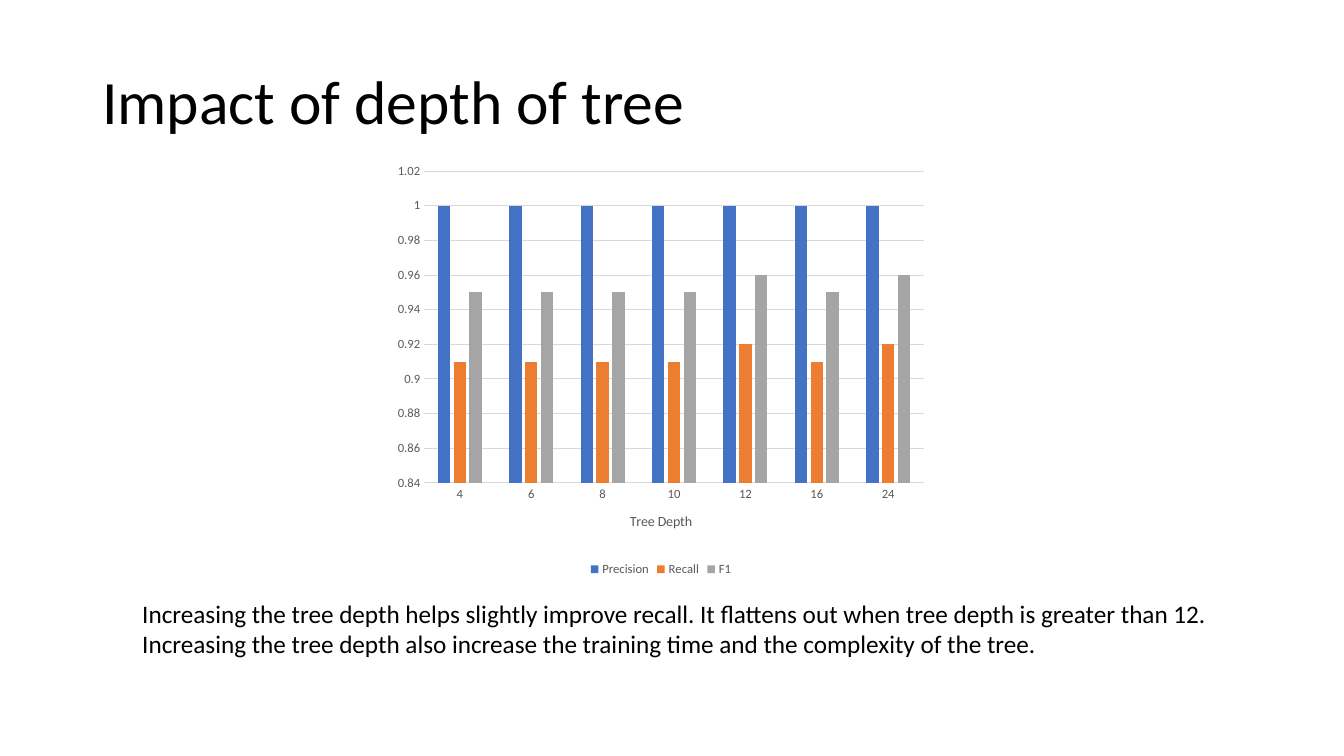
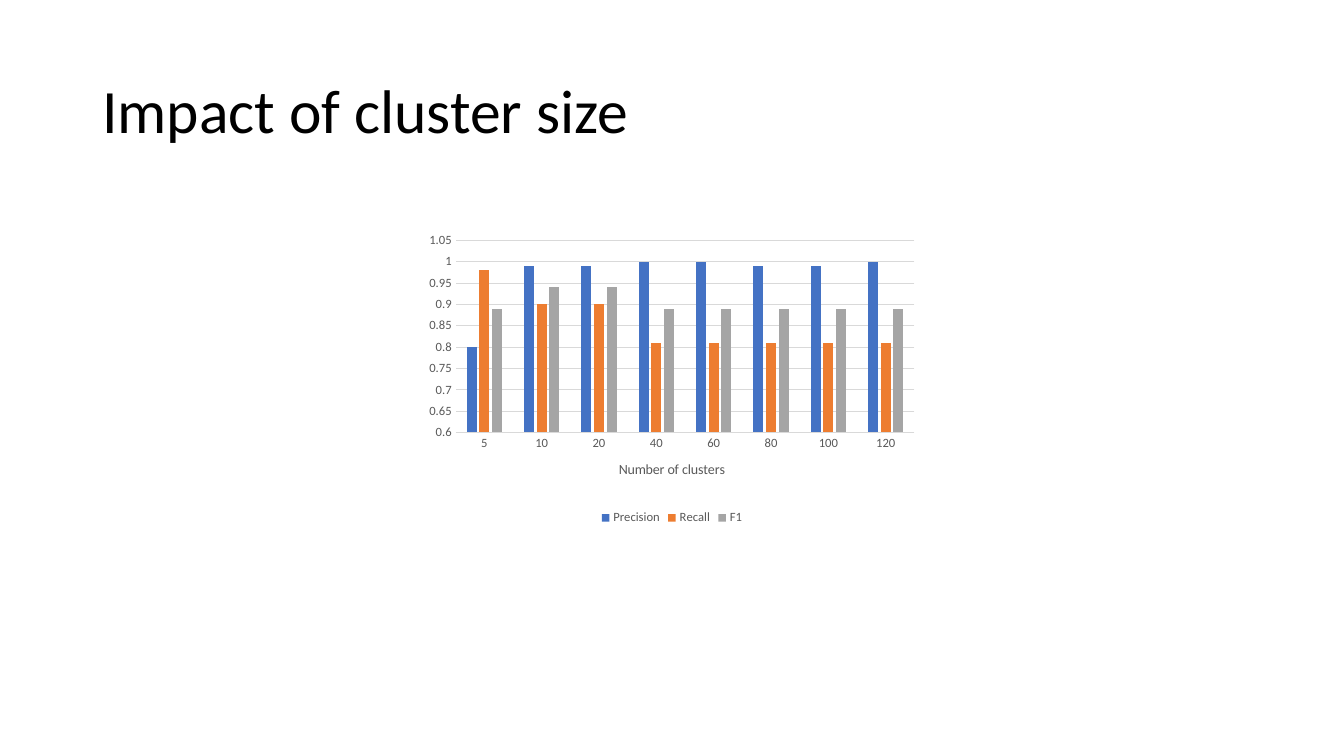
import pptx
import pptx.chart.data
import pptx.dml.color
import pptx.enum.chart
import pptx.enum.text
import pptx.oxml
import pptx.oxml.ns
import pptx.util

EMU_PER_PX = 9525
FONT = "Calibri"
BLACK = pptx.dml.color.RGBColor(0x00, 0x00, 0x00)
LABEL_GRAY = pptx.dml.color.RGBColor(0x59, 0x59, 0x59)
GRID_GRAY = pptx.dml.color.RGBColor(0xD9, 0xD9, 0xD9)
MEASURE_COLORS = {
    "Precision": pptx.dml.color.RGBColor(0x44, 0x72, 0xC4),
    "Recall": pptx.dml.color.RGBColor(0xED, 0x7D, 0x31),
    "F1": pptx.dml.color.RGBColor(0xA5, 0xA5, 0xA5),
}

DEPTHS = [4, 6, 8, 10, 12, 16, 24]
DEPTH_SCORES = {
    "Precision": [1, 1, 1, 1, 1, 1, 1],
    "Recall": [0.91, 0.91, 0.91, 0.91, 0.92, 0.91, 0.92],
    "F1": [0.95, 0.95, 0.95, 0.95, 0.96, 0.95, 0.96],
}
CLUSTERS = [5, 10, 20, 40, 60, 80, 100, 120]
CLUSTER_SCORES = {
    "Precision": [0.8, 0.99, 0.99, 1, 1, 0.99, 0.99, 1],
    "Recall": [0.98, 0.9, 0.9, 0.81, 0.81, 0.81, 0.81, 0.81],
    "F1": [0.89, 0.94, 0.94, 0.89, 0.89, 0.89, 0.89, 0.89],
}
FINDINGS = [
    "Increasing the tree depth helps slightly improve recall. "
    "It flattens out when tree depth is greater than 12.",
    "Increasing the tree depth also increase the training time "
    "and the complexity of the tree.",
]


def px(*lengths):
    """Turn px lengths into a list of EMU lengths."""
    return [pptx.util.Emu(length * EMU_PER_PX) for length in lengths]


def style_font(font, size, color):
    """Set the typeface, size and colour of a font."""
    font.name = FONT
    font.size = pptx.util.Pt(size)
    font.bold = False
    font.color.rgb = color


def add_text(slide, box, lines, size):
    """Add a text box with one paragraph per line and return its frame."""
    frame = slide.shapes.add_textbox(*px(*box)).text_frame
    frame.text = "\n".join(lines)
    for paragraph in frame.paragraphs:
        style_font(paragraph.font, size, BLACK)
    return frame


def add_title(slide, top, wording):
    """Add the slide title, centred vertically in its band."""
    frame = add_text(slide, (88, top, 1104, 139), [wording], 44)
    frame.word_wrap = True
    frame.vertical_anchor = pptx.enum.text.MSO_ANCHOR.MIDDLE
    frame.paragraphs[0].line_spacing = 0.9


def place_plot(chart, box, plot_box):
    """Fix the inner plot area, given in px from the chart corner."""
    shares = [round(length / box[2 + i % 2], 4) for i, length in enumerate(plot_box)]
    entries = "".join(
        f'<c:{tag} val="{share}"/>' for tag, share in zip("xywh", shares)
    )
    layout = pptx.oxml.parse_xml(
        f'<c:layout {pptx.oxml.ns.nsdecls("c")}><c:manualLayout>'
        '<c:layoutTarget val="inner"/><c:xMode val="edge"/><c:yMode val="edge"/>'
        f"{entries}</c:manualLayout></c:layout>"
    )
    plot_area = chart.element.find(".//" + pptx.oxml.ns.qn("c:plotArea"))
    for default in plot_area.findall(pptx.oxml.ns.qn("c:layout")):
        plot_area.remove(default)
    plot_area.insert(0, layout)


def style_axes(chart, axis_title, scale):
    """Style both axes, with the scale as minimum, maximum and step."""
    categories, values = chart.category_axis, chart.value_axis
    for axis in (categories, values):
        axis.major_tick_mark = pptx.enum.chart.XL_TICK_MARK.NONE
        axis.minor_tick_mark = pptx.enum.chart.XL_TICK_MARK.NONE
        style_font(axis.tick_labels.font, 9, LABEL_GRAY)
    values.minimum_scale, values.maximum_scale, values.major_unit = scale
    values.format.line.fill.background()
    values.has_major_gridlines = True
    for line in (categories.format.line, values.major_gridlines.format.line):
        line.color.rgb = GRID_GRAY
        line.width = pptx.util.Pt(0.75)
    title_frame = categories.axis_title.text_frame
    title_frame.text = axis_title
    style_font(title_frame.paragraphs[0].runs[0].font, 10, LABEL_GRAY)


def add_score_chart(slide, box, plot_box, axis_title, settings, scores, scale):
    """Add a clustered column chart of the scores for each setting."""
    data = pptx.chart.data.CategoryChartData()
    data.categories = [str(setting) for setting in settings]
    for measure, values in scores.items():
        data.add_series(measure, values)
    kind = pptx.enum.chart.XL_CHART_TYPE.COLUMN_CLUSTERED
    chart = slide.shapes.add_chart(kind, *px(*box), data).chart
    style_font(chart.font, 10, BLACK)
    chart.has_title = False
    chart.has_legend = True
    chart.legend.position = pptx.enum.chart.XL_LEGEND_POSITION.BOTTOM
    chart.legend.include_in_layout = False
    style_font(chart.legend.font, 9, LABEL_GRAY)
    columns = chart.plots[0]
    columns.vary_by_categories = False
    columns.gap_width = 219
    columns.overlap = -27
    for series in columns.series:
        series.format.fill.solid()
        series.format.fill.fore_color.rgb = MEASURE_COLORS[series.name]
    style_axes(chart, axis_title, scale)
    place_plot(chart, box, plot_box)


def main():
    """Build both slides and save the presentation."""
    deck = pptx.Presentation()
    deck.slide_width, deck.slide_height = px(1280, 720)
    blank = deck.slide_layouts[6]

    depth_slide = deck.slides.add_slide(blank)
    add_title(depth_slide, 30, "Impact of depth of tree")
    add_score_chart(
        depth_slide, (369, 148, 521, 405), (35, 15, 476, 297),
        "Tree Depth", DEPTHS, DEPTH_SCORES, (0.84, 1.02, 0.02),
    )
    findings = add_text(depth_slide, (126, 565, 1046, 68), FINDINGS, 18)
    findings.word_wrap = False

    cluster_slide = deck.slides.add_slide(blank)
    add_title(cluster_slide, 39, "Impact of cluster size")
    add_score_chart(
        cluster_slide, (400, 216, 480, 288), (34, 13, 437, 183),
        "Number of clusters", CLUSTERS, CLUSTER_SCORES, (0.6, 1.05, 0.05),
    )
    deck.save("out.pptx")


if __name__ == "__main__":
    main()
